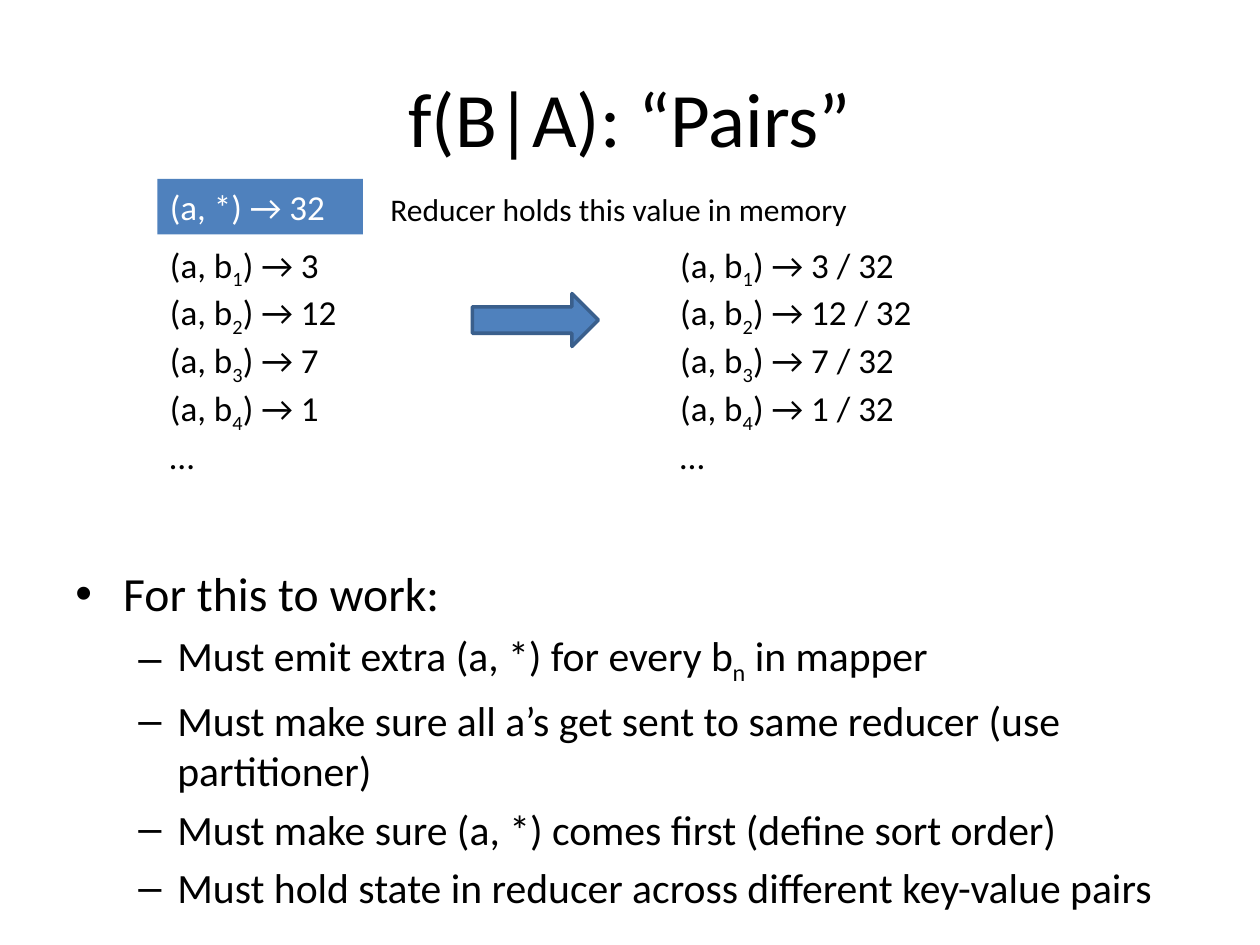
from lxml import etree
from pptx import Presentation
from pptx.dml.color import RGBColor
from pptx.enum.shapes import MSO_SHAPE
from pptx.enum.text import MSO_ANCHOR, PP_ALIGN
from pptx.oxml.ns import qn
from pptx.util import Inches, Pt

RECT, ARROW = MSO_SHAPE.RECTANGLE, MSO_SHAPE.RIGHT_ARROW
TOP, MIDDLE = MSO_ANCHOR.TOP, MSO_ANCHOR.MIDDLE
LEFT, CENTER = PP_ALIGN.LEFT, PP_ALIGN.CENTER
BLACK, WHITE, BLUE, DARK_BLUE = "000000", "FFFFFF", "4F81BD", "3A5F8C"


def rgb(value):
    return RGBColor.from_string(value)


def write(p, text, size, color=BLACK):
    """Fill a paragraph; the character after "_" becomes a subscript."""
    before, mark, after = text.partition("_")
    for part, is_sub in ((before, False), (after[:1], True), (after[1:], False)):
        if part:
            r = p.add_run()
            r.text = part
            r.font.name, r.font.size = "Calibri", Pt(size)
            r.font.color.rgb = rgb(color)
            if is_sub:
                r._r.get_or_add_rPr().set("baseline", "-25000")


prs = Presentation()
prs.slide_width, prs.slide_height = Inches(10), Inches(7.5)
s = prs.slides.add_slide(prs.slide_layouts[5])

# Title
title = s.shapes.title
title.left, title.top = Inches(0.5), Inches(0.3)
title.width, title.height = Inches(9), Inches(1.25)
tf = title.text_frame
tf.vertical_anchor = MIDDLE
tf.paragraphs[0].alignment = CENTER
write(tf.paragraphs[0], "f(B|A): “Pairs”", 44)

# Requirements list: text, size, bullet, left margin, hanging indent
head = (27.2, "•", 0.38, 0.38)
sub = (23.8, "–", 0.81, 0.31)
requirements = [
    ("For this to work:", head),
    ("Must emit extra (a, *) for every b_n in mapper", sub),
    ("Must make sure all a’s get sent to same reducer (use partitioner)", sub),
    ("Must make sure (a, *) comes first (define sort order)", sub),
    ("Must hold state in reducer across different key-value pairs", sub),
]
tf = s.shapes.add_textbox(Inches(0.5), Inches(4.43), Inches(9), Inches(2.85)).text_frame
tf.word_wrap = True
for i, (text, (size, bullet, margin, hanging)) in enumerate(requirements):
    p = tf.paragraphs[0] if i == 0 else tf.add_paragraph()
    p.level = 0 if bullet == "•" else 1
    p.space_before = Pt(round(size * 0.2, 1))
    pPr = p._p.get_or_add_pPr()
    pPr.set("marL", str(Inches(margin)))
    pPr.set("indent", str(-Inches(hanging)))
    etree.SubElement(pPr, qn("a:buFont")).set("typeface", "Arial")
    etree.SubElement(pPr, qn("a:buChar")).set("char", bullet)
    write(p, text, size)

# Counts before and after division by the total
counts = [3, 12, 7, 1]
for left, width, suffix in ((1.25, 1.61, ""), (5.3, 2.07, " / 32")):
    tf = s.shapes.add_textbox(Inches(left), Inches(1.88), Inches(width), Inches(1.78)).text_frame
    tf.word_wrap = True
    for i, count in enumerate(counts, 1):
        p = tf.paragraphs[0] if i == 1 else tf.add_paragraph()
        write(p, f"(a, b_{i}) → {count}{suffix}", 20)
    write(tf.add_paragraph(), "…", 20)

# Arrow between the columns
arrow = s.shapes.add_shape(ARROW, Inches(3.75), Inches(2.33), Inches(1), Inches(0.42))
arrow.shadow.inherit = False
arrow.fill.solid()
arrow.fill.fore_color.rgb = rgb(BLUE)
arrow.line.color.rgb = rgb(DARK_BLUE)
arrow.line.width = Pt(2)

# Highlighted total
total = s.shapes.add_shape(RECT, Inches(1.25), Inches(1.42), Inches(1.63), Inches(0.44))
total.shadow.inherit = False
total.fill.solid()
total.fill.fore_color.rgb = rgb(BLUE)
total.line.fill.background()
tf = total.text_frame
tf.vertical_anchor = TOP
tf.paragraphs[0].alignment = LEFT
write(tf.paragraphs[0], "(a, *) → 32", 20, WHITE)

# Note beside the total
tf = s.shapes.add_textbox(Inches(3), Inches(1.46), Inches(3.87), Inches(0.4)).text_frame
tf.word_wrap = True
write(tf.paragraphs[0], "Reducer holds this value in memory", 18)

prs.save("out.pptx")
